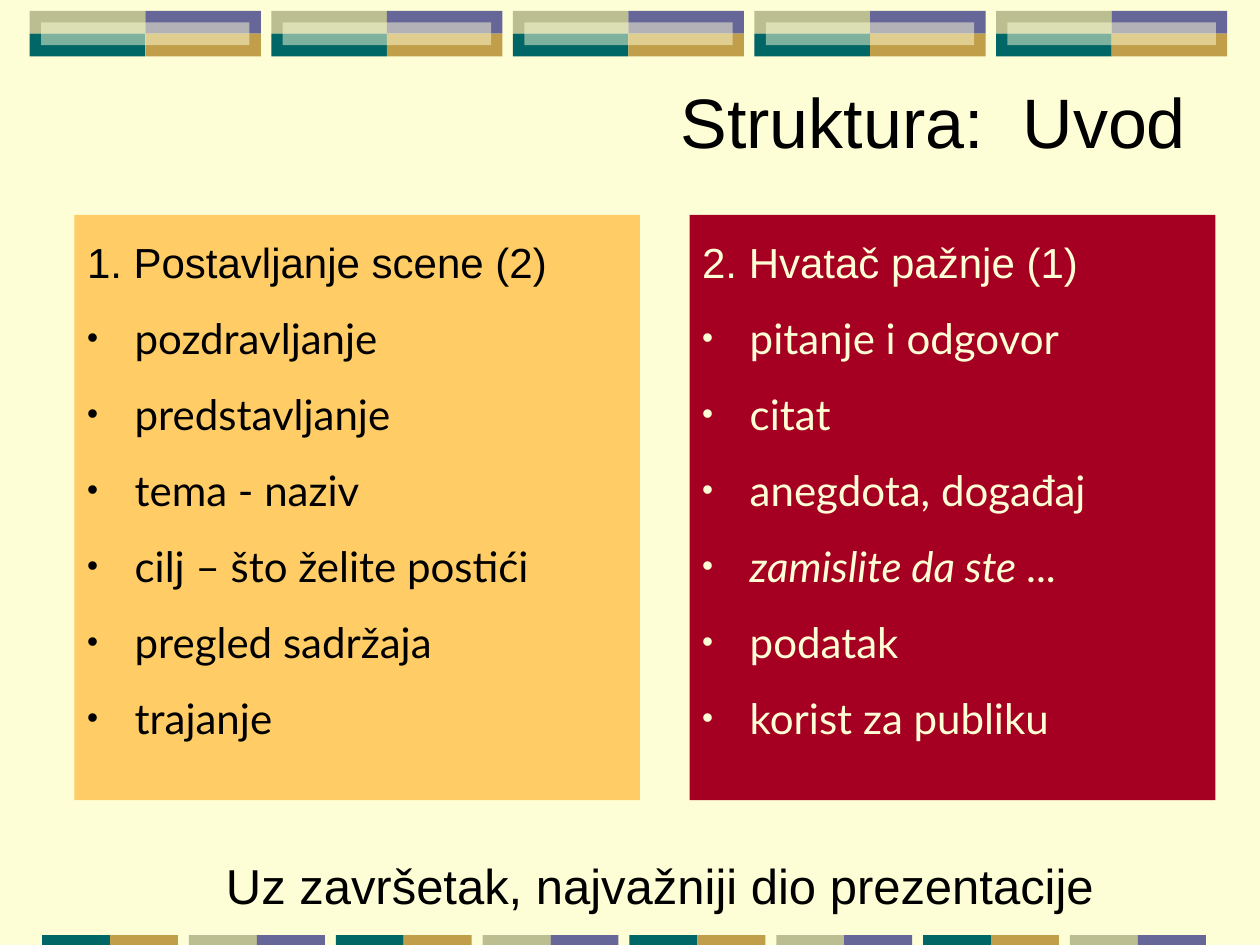
from dataclasses import dataclass

from lxml import etree
from pptx import Presentation
from pptx import util as u
from pptx.dml.color import RGBColor
from pptx.enum import shapes, text
from pptx.oxml import ns


@dataclass(frozen=True)
class Theme:
    cream: str = "FEFED6"
    violet: str = "666699"
    ochre: str = "C09E4A"
    teal: str = "006666"
    olive: str = "BABE90"
    amber: str = "FFCC66"
    crimson: str = "A50021"
    ink: str = "000000"
    heading_font: str = "Arial"
    list_font: str = "Lato"
    title_size: int = 40
    closing_size: int = 28
    list_size: int = 24


def add_element(parent, tag, **attributes):
    return etree.SubElement(parent, ns.qn(tag), attributes)


def write_spans(para, spans, *, font, size, color, align=None):
    para.alignment = align
    for words, italic in spans:
        span = para.add_run()
        span.text = words
        span.font.name = font
        span.font.size = u.Pt(size)
        span.font.italic = italic
        span.font.color.rgb = RGBColor.from_string(color)


class PageBuilder:
    def __init__(self, page, theme):
        self.page = page
        self.theme = theme
        page.background.fill.solid()
        page.background.fill.fore_color.rgb = RGBColor.from_string(theme.cream)

    def place(self, box, left, top, width, height):
        box.left, box.top = u.Cm(left), u.Cm(top)
        box.width, box.height = u.Cm(width), u.Cm(height)

    def tile(self, group, left, top, width, height, color, opacity=None):
        box = group.shapes.add_shape(
            shapes.MSO_SHAPE.RECTANGLE,
            u.Cm(left), u.Cm(top), u.Cm(width), u.Cm(height))
        box.shadow.inherit = False
        box.line.fill.background()
        box.fill.solid()
        box.fill.fore_color.rgb = RGBColor.from_string(color)
        if opacity is not None:
            swatch = box._element.spPr.find(ns.qn("a:solidFill"))[0]
            add_element(swatch, "a:alpha", val=str(opacity * 1000))

    def top_band(self, left=0.6, top=0.22, width=2.33, height=0.46, pitch=4.87):
        theme = self.theme
        rows = ((theme.olive, theme.violet), (theme.teal, theme.ochre))
        for block in range(5):
            group = self.page.shapes.add_group_shape()
            start = left + block * pitch
            for row, colors in enumerate(rows):
                for column, color in enumerate(colors):
                    self.tile(group, start + column * width, top + row * height,
                              width, height, color)
            self.tile(group, start + height / 2, top + height / 2,
                      2 * width - height, height, theme.cream, opacity=50)

    def bottom_band(self, left=0.85, top=18.85, width=1.37, height=0.2, pitch=2.96):
        theme = self.theme
        pairs = ((theme.teal, theme.ochre), (theme.olive, theme.violet))
        group = self.page.shapes.add_group_shape()
        for block in range(8):
            for column, color in enumerate(pairs[block % 2]):
                self.tile(group, left + block * pitch + column * width, top,
                          width, height, color)

    def title(self, words):
        box = self.page.shapes.title
        self.place(box, 1.3, 1.32, 22.86, 2.21)
        box.text_frame.auto_size = text.MSO_AUTO_SIZE.NONE
        box.text_frame.vertical_anchor = text.MSO_ANCHOR.MIDDLE
        write_spans(box.text_frame.paragraphs[0], [(words, None)],
                    font=self.theme.heading_font, size=self.theme.title_size,
                    color=self.theme.ink, align=text.PP_ALIGN.RIGHT)

    def panel(self, index, left, width, heading, items, *, fill, color):
        theme = self.theme
        box = self.page.placeholders[index]
        self.place(box, left, 4.33, width, 11.8)
        box.fill.solid()
        box.fill.fore_color.rgb = RGBColor.from_string(fill)
        frame = box.text_frame
        frame.auto_size = text.MSO_AUTO_SIZE.NONE
        frame.vertical_anchor = text.MSO_ANCHOR.TOP
        for number, spans in enumerate([[(heading, None)], *items]):
            para = frame.add_paragraph() if number else frame.paragraphs[0]
            self.list_format(para, color, bulleted=number > 0)
            write_spans(para, spans, size=theme.list_size, color=color,
                        font=theme.list_font if number else theme.heading_font)

    def list_format(self, para, color, bulleted):
        properties = para._p.get_or_add_pPr()
        properties.set("marL", str(u.Cm(0.96)))
        properties.set("indent", str(-u.Cm(0.96)))
        if bulleted:
            bullet_color = add_element(properties, "a:buClr")
            add_element(bullet_color, "a:srgbClr", val=color)
            add_element(properties, "a:buSzPct", val="75000")
            add_element(properties, "a:buFont", typeface=self.theme.heading_font)
            add_element(properties, "a:buChar", char="•")
        else:
            add_element(properties, "a:buNone")
        para.line_spacing = 1.3
        para.space_before = u.Pt(6 if bulleted else 0)

    def closing(self, words):
        box = self.page.shapes.add_textbox(
            u.Cm(2.9), u.Cm(17.12), u.Cm(20.8), u.Cm(1.45))
        box.text_frame.word_wrap = True
        write_spans(box.text_frame.paragraphs[0], [(words, None)],
                    font=self.theme.heading_font, size=self.theme.closing_size,
                    color=self.theme.ink, align=text.PP_ALIGN.CENTER)


def plain(*lines):
    return [[(line, None)] for line in lines]


def main():
    deck = Presentation()
    deck.slide_width, deck.slide_height = u.Cm(25.4), u.Cm(19.05)
    theme = Theme()
    builder = PageBuilder(deck.slides.add_slide(deck.slide_layouts[3]), theme)
    builder.top_band()
    builder.bottom_band()
    builder.title("Struktura:  Uvod")
    builder.panel(
        1, 1.5, 11.4, "1. Postavljanje scene (2)",
        plain("pozdravljanje", "predstavljanje", "tema - naziv",
              "cilj – što želite postići", "pregled sadržaja", "trajanje"),
        fill=theme.amber, color=theme.ink)
    builder.panel(
        2, 13.9, 10.6, "2. Hvatač pažnje (1)",
        plain("pitanje i odgovor", "citat", "anegdota, događaj")
        + [[("zamislite da ste ", True), ("...", False)]]
        + plain("podatak", "korist za publiku"),
        fill=theme.crimson, color=theme.cream)
    builder.closing("Uz završetak, najvažniji dio prezentacije")
    deck.save("out.pptx")


if __name__ == "__main__":
    main()
